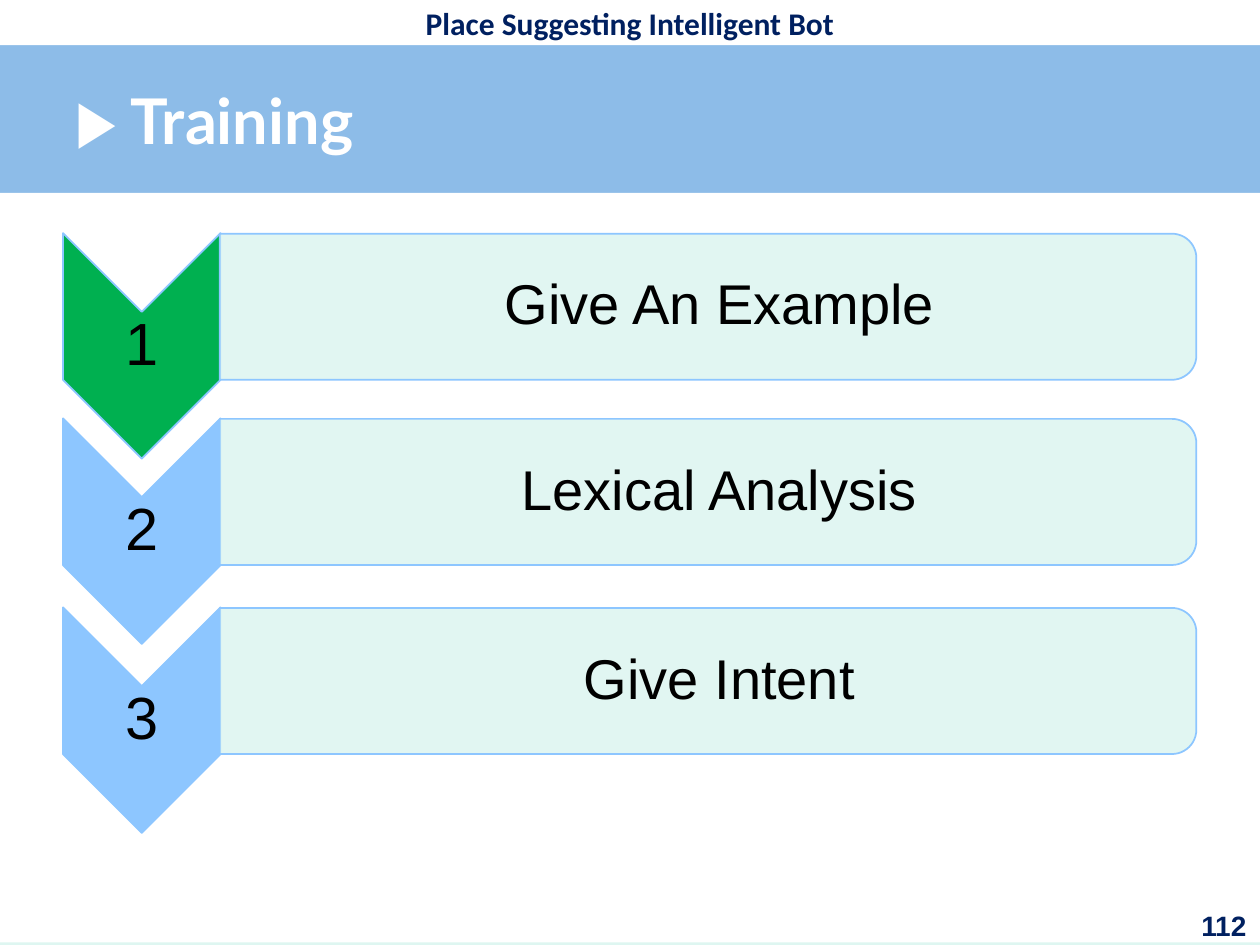
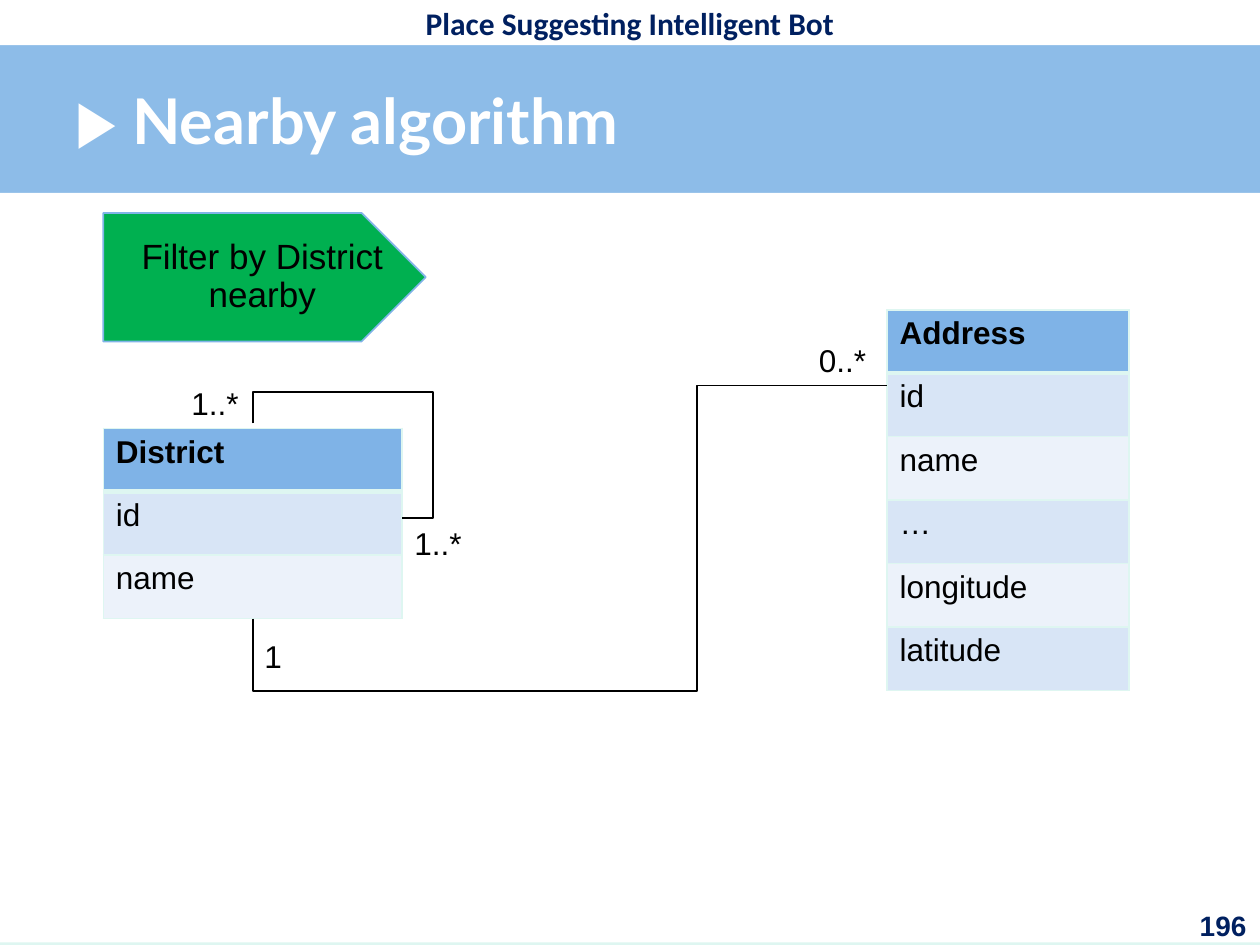
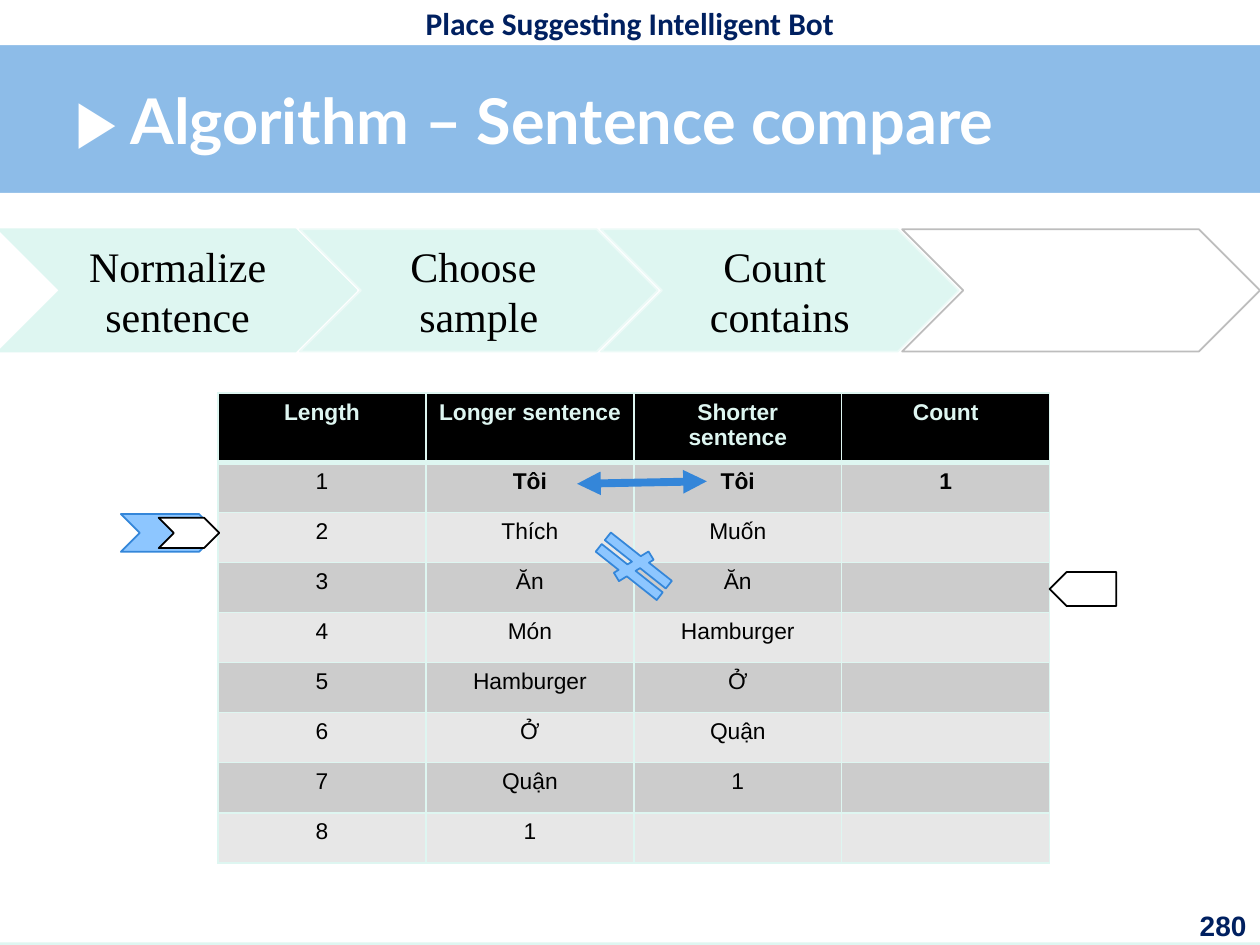
from dataclasses import dataclass
from typing import NamedTuple, Optional, Sequence

from lxml import etree
from pptx import Presentation
from pptx.dml.color import RGBColor
from pptx.enum import shapes as kinds, text as layout
from pptx.oxml.ns import qn
from pptx.util import Inches, Pt

SHAPE = kinds.MSO_SHAPE
ALIGN = layout.PP_ALIGN
ANCHOR = layout.MSO_ANCHOR


@dataclass(frozen=True)
class Theme:
    mint: str = "DEF6F1"
    pale_mint: str = "ECFAF7"
    band: str = "7FB3E7"
    sky: str = "8DC6FF"
    blue: str = "3486D9"
    tag_edge: str = "80B4E7"
    green: str = "00B050"
    navy: str = "002060"
    white: str = "FFFFFF"
    black: str = "000000"
    silver: str = "BDBDBD"
    entity_rows: tuple[str, str] = ("D8E5F6", "ECF2FA")
    sentence_rows: tuple[str, str] = ("CCCCCC", "E7E7E7")
    title_size: int = 36
    number_size: int = 34
    step_size: int = 32
    stage_size: int = 24
    tag_size: int = 20
    body_size: int = 18
    page_size: int = 16
    grid_size: int = 13


THEME = Theme()


class Box(NamedTuple):
    left: float
    top: float
    width: float
    height: float


class Point(NamedTuple):
    x: float
    y: float


@dataclass(frozen=True)
class TextStyle:
    size: int
    color: str = THEME.black
    face: str = "Arial"
    bold: bool = False
    align: ALIGN = ALIGN.LEFT
    anchor: ANCHOR = ANCHOR.TOP
    wrap: bool = True
    grow: bool = False
    spacing: Optional[float] = None
    insets: tuple[float, float, float, float] = (0.1, 0.05, 0.1, 0.05)


@dataclass(frozen=True)
class Look:
    fill: str
    line: Optional[str] = None
    opacity: int = 100
    rotation: float = 0


@dataclass(frozen=True)
class TableStyle:
    header_fill: str
    header_color: str
    row_fills: tuple[str, str]
    size: int
    align: ALIGN


HEADER = TextStyle(THEME.body_size, THEME.navy, "Calibri", True, ALIGN.CENTER, ANCHOR.MIDDLE, wrap=False)
TITLE = TextStyle(THEME.title_size, THEME.white, "Lato", True, anchor=ANCHOR.MIDDLE)
PAGE = TextStyle(THEME.page_size, THEME.navy, bold=True, align=ALIGN.RIGHT)
NUMBER = TextStyle(THEME.number_size, align=ALIGN.CENTER, anchor=ANCHOR.MIDDLE,
                   spacing=0.9, insets=(0.02, 0.02, 0.02, 0.02))
STEP = TextStyle(THEME.step_size, align=ALIGN.CENTER, anchor=ANCHOR.MIDDLE,
                 spacing=0.9, insets=(0.25, 0.02, 0.02, 0.02))
TAG = TextStyle(THEME.tag_size, align=ALIGN.CENTER, anchor=ANCHOR.MIDDLE,
                spacing=0.9, insets=(0.29, 0.15, 0.07, 0.15))
STAGE = TextStyle(THEME.stage_size, face="Times New Roman", align=ALIGN.CENTER,
                  anchor=ANCHOR.MIDDLE, wrap=False)
MULTIPLICITY = TextStyle(THEME.body_size, wrap=False, grow=True)
ENTITY = TableStyle(THEME.band, THEME.black, THEME.entity_rows, THEME.body_size, ALIGN.LEFT)
SENTENCES = TableStyle(THEME.black, THEME.mint, THEME.sentence_rows, THEME.grid_size, ALIGN.CENTER)


def rgb(color: str) -> RGBColor:
    return RGBColor.from_string(color)


def place(box: Box) -> list[int]:
    return [Inches(length) for length in box]


def write_paragraph(paragraph, line: str, style: TextStyle) -> None:
    paragraph.text = line
    paragraph.alignment = style.align
    if style.spacing:
        paragraph.line_spacing = style.spacing
    font = paragraph.font
    font.name = style.face
    font.size = Pt(style.size)
    font.bold = style.bold
    font.color.rgb = rgb(style.color)


def write(frame, words: str, style: TextStyle) -> None:
    frame.word_wrap = style.wrap
    frame.auto_size = (layout.MSO_AUTO_SIZE.SHAPE_TO_FIT_TEXT if style.grow
                       else layout.MSO_AUTO_SIZE.NONE)
    frame.vertical_anchor = style.anchor
    (frame.margin_left, frame.margin_top,
     frame.margin_right, frame.margin_bottom) = place(Box(*style.insets))
    for index, line in enumerate(words.split("\n")):
        paragraph = frame.add_paragraph() if index else frame.paragraphs[0]
        write_paragraph(paragraph, line, style)


def add_text(slide, box: Box, words: str, style: TextStyle) -> None:
    write(slide.shapes.add_textbox(*place(box)).text_frame, words, style)


def add_figure(slide, kind: SHAPE, box: Box, look: Look,
               words: str = "", style: Optional[TextStyle] = None) -> None:
    figure = slide.shapes.add_shape(kind, *place(box))
    figure.shadow.inherit = False
    figure.rotation = look.rotation
    figure.fill.solid()
    figure.fill.fore_color.rgb = rgb(look.fill)
    if look.opacity < 100:
        color = figure._element.spPr.find(qn("a:solidFill"))[0]
        etree.SubElement(color, qn("a:alpha"), val=str(look.opacity * 1000))
    if look.line:
        figure.line.color.rgb = rgb(look.line)
        figure.line.width = Pt(1)
    else:
        figure.line.fill.background()
    if style:
        write(figure.text_frame, words, style)


def add_line(slide, kind: kinds.MSO_CONNECTOR, start: Point, end: Point, color: str, width: float):
    connector = slide.shapes.add_connector(kind, *map(Inches, (*start, *end)))
    connector.line.color.rgb = rgb(color)
    connector.line.width = Pt(width)
    etree.SubElement(connector._element.spPr, qn("a:effectLst"))
    return connector


def add_relation(slide, start: Point, end: Point, bends: Sequence[float],
                 rotation: int, flip_vertical: bool) -> None:
    middle = Point((start.x + end.x) / 2, (start.y + end.y) / 2)
    half_width, half_height = abs(end.y - start.y) / 2, abs(end.x - start.x) / 2
    rise = -half_height if flip_vertical else half_height
    connector = add_line(slide, kinds.MSO_CONNECTOR.ELBOW,
                         Point(middle.x + half_width, middle.y - rise),
                         Point(middle.x - half_width, middle.y + rise), THEME.black, 1)
    properties = connector._element.spPr
    properties.find(qn("a:xfrm")).set("rot", str(rotation * 60000))
    geometry = properties.find(qn("a:prstGeom"))
    geometry.set("prst", "bentConnector4")
    guides = geometry.find(qn("a:avLst"))
    for number, bend in enumerate(bends, 1):
        etree.SubElement(guides, qn("a:gd"), name=f"adj{number}", fmla=f"val {round(bend * 100000)}")


def add_double_arrow(slide, start: Point, end: Point) -> None:
    arrow = add_line(slide, kinds.MSO_CONNECTOR.STRAIGHT, start, end, THEME.blue, 4.5)
    outline = arrow._element.spPr.find(qn("a:ln"))
    for tip in ("a:headEnd", "a:tailEnd"):
        etree.SubElement(outline, qn(tip), type="triangle")


def set_borders(cell, header_bottom: bool, header_top: bool) -> None:
    properties = cell._tc.get_or_add_tcPr()
    widths = {"a:lnL": 1, "a:lnR": 1, "a:lnT": 3 if header_top else 1, "a:lnB": 3 if header_bottom else 1}
    for position, (side, width) in enumerate(widths.items()):
        border = etree.Element(qn(side), w=str(Pt(width)))
        fill = etree.SubElement(border, qn("a:solidFill"))
        etree.SubElement(fill, qn("a:srgbClr"), val=THEME.mint)
        properties.insert(position, border)


def add_grid(slide, box: Box, rows: Sequence[Sequence[str]], style: TableStyle,
             header_height: float, bold_cells: Sequence[tuple[int, int]] = ()) -> None:
    table = slide.shapes.add_table(len(rows), len(rows[0]), *place(box)).table
    table.horz_banding = False
    row_height = (box.height - header_height) / (len(rows) - 1)
    for r, row in enumerate(rows):
        table.rows[r].height = Inches(row_height if r else header_height)
        for c, words in enumerate(row):
            cell = table.cell(r, c)
            cell.fill.solid()
            cell.fill.fore_color.rgb = rgb(style.row_fills[(r - 1) % 2] if r else style.header_fill)
            set_borders(cell, r == 0, r == 1)
            write_paragraph(cell.text_frame.paragraphs[0], words, TextStyle(
                style.size, THEME.black if r else style.header_color,
                bold=r == 0 or (r, c) in bold_cells, align=style.align))


def add_page(deck, title: str, page: int):
    slide = deck.slides.add_slide(deck.slide_layouts[6])
    add_figure(slide, SHAPE.RECTANGLE, Box(0, 0, 10, 1.55), Look(THEME.band, opacity=85))
    for area in (Box(0, 0, 10, 0.36), Box(0, 1.53, 10, 5.95)):
        add_figure(slide, SHAPE.RECTANGLE, area, Look(THEME.white))
    add_text(slide, Box(0.5, 0, 9, 0.36), "Place Suggesting Intelligent Bot", HEADER)
    add_text(slide, Box(0.5, 0.35, 9, 1.2), f"▶ {title}", TITLE)
    add_text(slide, Box(9.38, 7.16, 0.61, 0.34), str(page), PAGE)
    return slide


def build_training(deck) -> None:
    slide = add_page(deck, "Training", 112)
    steps = (
        (1.85, "Give An Example", THEME.green),
        (3.32, "Lexical Analysis", THEME.sky),
        (4.82, "Give Intent", THEME.sky),
    )
    for number, (top, step, color) in enumerate(steps, 1):
        add_figure(slide, SHAPE.CHEVRON, Box(0.23, top + 0.27, 1.79, 1.25),
                   Look(color, THEME.sky, rotation=90))
        add_text(slide, Box(0.5, top + 0.63, 1.25, 0.54), str(number), NUMBER)
        add_figure(slide, SHAPE.ROUND_2_SAME_RECTANGLE, Box(5.04, top - 3.29, 1.16, 7.75),
                   Look(THEME.mint, THEME.sky, 90, 90))
        add_text(slide, Box(1.75, top + 0.06, 7.69, 1.05), step, STEP)


def build_nearby(deck) -> None:
    slide = add_page(deck, "Nearby algorithm", 196)
    district = ("District", "id", "name")
    address = ("Address", "id", "name", "…", "longitude", "latitude")
    add_grid(slide, Box(0.82, 3.4, 2.37, 1.51), [[field] for field in district], ENTITY, 0.5)
    add_relation(slide, Point(2.01, 3.36), Point(3.19, 4.11), (-0.33, 1.21), 270, False)
    add_figure(slide, SHAPE.PENTAGON, Box(0.82, 1.69, 2.56, 1.02),
               Look(THEME.green, THEME.tag_edge), "Filter by District nearby", TAG)
    add_grid(slide, Box(7.04, 2.46, 1.92, 3.02), [[field] for field in address], ENTITY, 0.5)
    add_relation(slide, Point(2.01, 4.91), Point(7.04, 3.06), (-0.31, 0.7), 90, True)
    multiplicities = (
        (Box(1.42, 3, 0.58, 0.4), "1..*"),
        (Box(3.19, 4.11, 0.58, 0.4), "1..*"),
        (Box(6.4, 2.66, 0.58, 0.4), "0..*"),
        (Box(2, 5.01, 0.34, 0.4), "1"),
    )
    for box, words in multiplicities:
        add_text(slide, box, words, MULTIPLICITY)


def build_compare(deck) -> None:
    slide = add_page(deck, "Algorithm – Sentence compare", 280)
    longer = ("Tôi", "Thích", "Ăn", "Món", "Hamburger", "Ở", "Quận", "1")
    shorter = ("Tôi", "Muốn", "Ăn", "Hamburger", "Ở", "Quận", "1", "")
    rows = [("Length", "Longer sentence", "Shorter sentence", "Count")]
    for length, (long_word, short_word) in enumerate(zip(longer, shorter), 1):
        rows.append((str(length), long_word, short_word, "1" if length == 1 else ""))
    add_grid(slide, Box(1.73, 3.12, 6.6, 3.73), rows, SENTENCES, 0.55, ((1, 1), (1, 2), (1, 3)))
    add_double_arrow(slide, Point(4.58, 3.84), Point(5.61, 3.82))

    marks = (
        (SHAPE.CHEVRON, Box(0.96, 4.08, 0.77, 0.3), Look(THEME.sky, THEME.blue)),
        (SHAPE.CHEVRON, Box(1.26, 4.11, 0.48, 0.24), Look(THEME.white, THEME.black)),
        (SHAPE.PENTAGON, Box(8.33, 4.54, 0.53, 0.27), Look(THEME.white, THEME.black, rotation=180)),
        (SHAPE.MATH_NOT_EQUAL, Box(4.61, 4.33, 0.84, 0.33), Look(THEME.sky, THEME.blue, rotation=38.4)),
    )
    for kind, box, look in marks:
        add_figure(slide, kind, box, look)

    stages = (
        ("Normalize\nsentence", Look(THEME.mint, THEME.mint)),
        ("Choose \nsample", Look(THEME.mint, THEME.pale_mint)),
        ("Count \ncontains", Look(THEME.mint, THEME.pale_mint)),
        ("", Look(THEME.white, THEME.silver)),
    )
    for index, (stage, look) in enumerate(stages):
        add_figure(slide, SHAPE.CHEVRON, Box(2.39 * index - 0.01, 1.82, 2.84, 0.97), look, stage, STAGE)


def main() -> None:
    deck = Presentation()
    deck.slide_width, deck.slide_height = Inches(10), Inches(7.5)
    backdrop = deck.slide_master.background.fill
    backdrop.solid()
    backdrop.fore_color.rgb = rgb(THEME.mint)
    for build in (build_training, build_nearby, build_compare):
        build(deck)
    deck.save("out.pptx")


if __name__ == "__main__":
    main()
